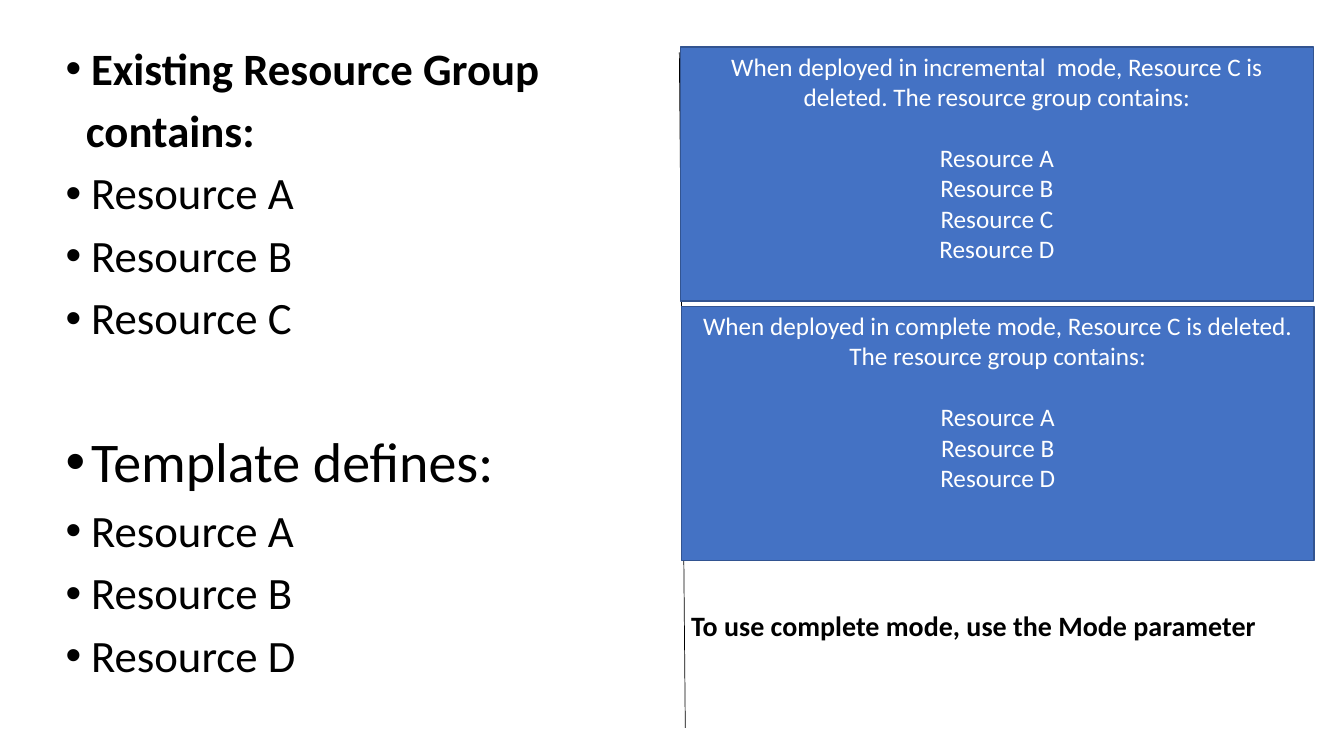
from lxml.etree import SubElement
from pptx import Presentation
from pptx.dml.color import RGBColor
from pptx.enum.shapes import MSO_CONNECTOR, MSO_SHAPE
from pptx.enum.text import MSO_ANCHOR, MSO_AUTO_SIZE, PP_ALIGN
from pptx.oxml.ns import qn
from pptx.util import Cm, Pt


def color(hex_string):
    return RGBColor.from_string(hex_string)


def format_font(paragraph, size, hex_string, bold=False):
    for run in paragraph.runs:
        run.font.name = "Calibri"
        run.font.size = Pt(size)
        run.font.bold = bold
        run.font.color.rgb = color(hex_string)


presentation = Presentation()
presentation.slide_width = Cm(33.87)
presentation.slide_height = Cm(19.05)
slide = presentation.slides.add_slide(presentation.slide_layouts[1])
title = slide.shapes.title
title.element.getparent().remove(title.element)

# Resource list: text, size, bold, bullet, space before
resource_list = [
    ("Existing Resource Group", 32, True, True, 0),
    ("contains:", 32, True, False, 10),
    ("Resource A", 32, False, True, 10),
    ("Resource B", 32, False, True, 10),
    ("Resource C", 32, False, True, 10),
    ("Template defines:", 40, False, True, 64),
    ("Resource A", 32, False, True, 10),
    ("Resource B", 32, False, True, 10),
    ("Resource D", 32, False, True, 10),
]
body = slide.placeholders[1]
body.left, body.top, body.width, body.height = Cm(1.4), Cm(1.04), Cm(31.75), Cm(17.3)
text_frame = body.text_frame
text_frame.text = "\n".join(item[0] for item in resource_list)
text_frame.auto_size = MSO_AUTO_SIZE.NONE
for paragraph, (_, size, bold, bullet, space) in zip(text_frame.paragraphs, resource_list):
    properties = paragraph._p.get_or_add_pPr()
    if bullet:
        properties.set("marL", str(Cm(0.64)))
        properties.set("indent", str(Cm(-0.64)))
        SubElement(properties, qn("a:buFont")).set("typeface", "Arial")
        SubElement(properties, qn("a:buChar")).set("char", "•")
    else:
        properties.set("marL", str(Cm(0.51)))
        properties.set("indent", "0")
        SubElement(properties, qn("a:buNone"))
    paragraph.line_spacing = 0.9
    paragraph.space_before = Pt(space)
    format_font(paragraph, size, "000000", bold)

# Divider
divider = slide.shapes.add_connector(
    MSO_CONNECTOR.STRAIGHT, Cm(17.12), Cm(1.32), Cm(17.27), Cm(18.34))
divider.line.color.rgb = color("000000")
divider.line.width = Pt(0.5)
SubElement(divider._element.spPr, qn("a:effectLst"))

# Deployment mode boxes: left, top, paragraphs
mode_boxes = [
    (17.15, 1.19, [
        "When deployed in incremental  mode, Resource C is deleted. "
        "The resource group contains:",
        "Resource A", "Resource B", "Resource C", "Resource D"]),
    (17.17, 7.72, [
        "When deployed in complete mode, Resource C is deleted. "
        "The resource group contains:",
        "Resource A", "Resource B", "Resource D"]),
]
for left, top, lines in mode_boxes:
    box = slide.shapes.add_shape(
        MSO_SHAPE.RECTANGLE, Cm(left), Cm(top), Cm(15.95), Cm(6.4))
    box.shadow.inherit = False
    box.fill.solid()
    box.fill.fore_color.rgb = color("4472C4")
    box.line.color.rgb = color("325491")
    box.line.width = Pt(1)
    text_frame = box.text_frame
    text_frame.text = "\n".join(lines)
    text_frame.word_wrap = True
    text_frame.vertical_anchor = MSO_ANCHOR.TOP
    text_frame.margin_top = Cm(0.1)
    for paragraph in text_frame.paragraphs:
        paragraph.alignment = PP_ALIGN.CENTER
        format_font(paragraph, 18, "FFFFFF")
    text_frame.paragraphs[1].space_before = Pt(22)

# Note on the parameter
note = slide.shapes.add_textbox(Cm(17.17), Cm(15.21), Cm(15.82), Cm(1.12))
note.text_frame.text = "To use complete mode, use the Mode parameter"
note.text_frame.word_wrap = True
format_font(note.text_frame.paragraphs[0], 20, "000000", True)

presentation.save("out.pptx")
